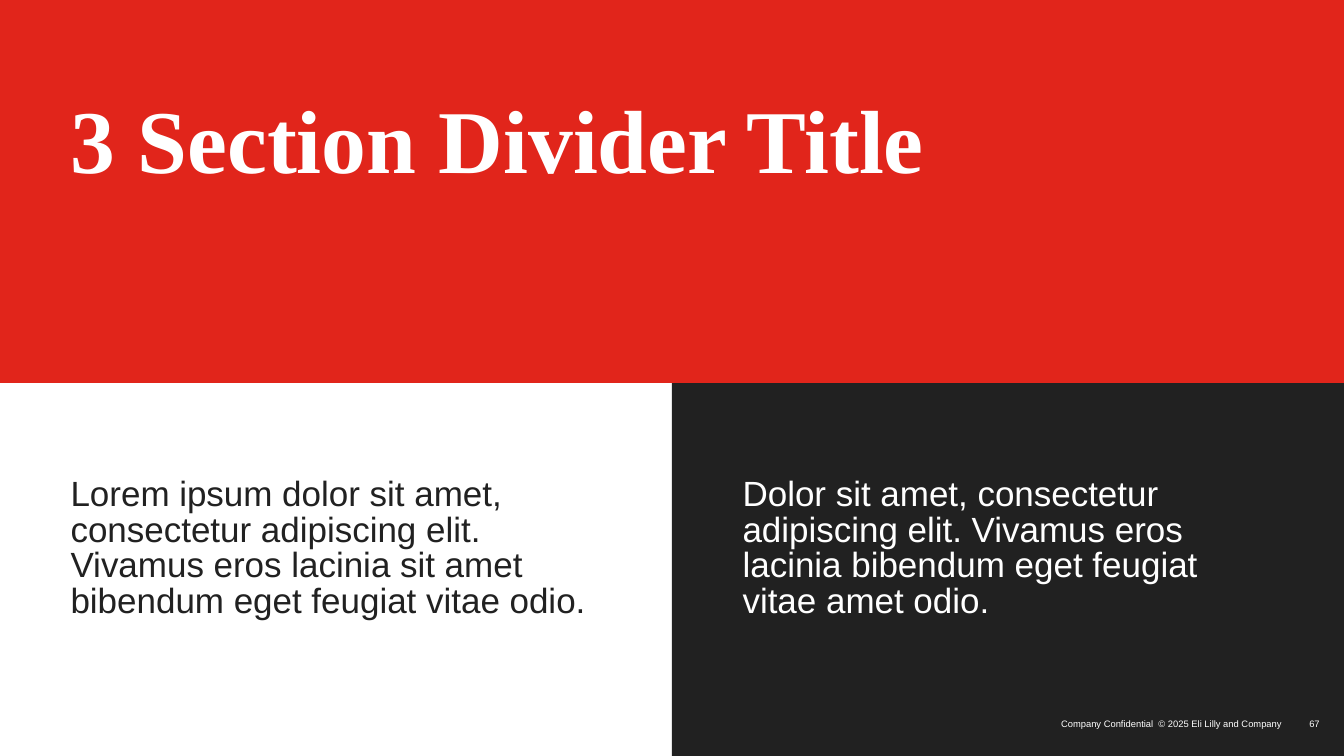
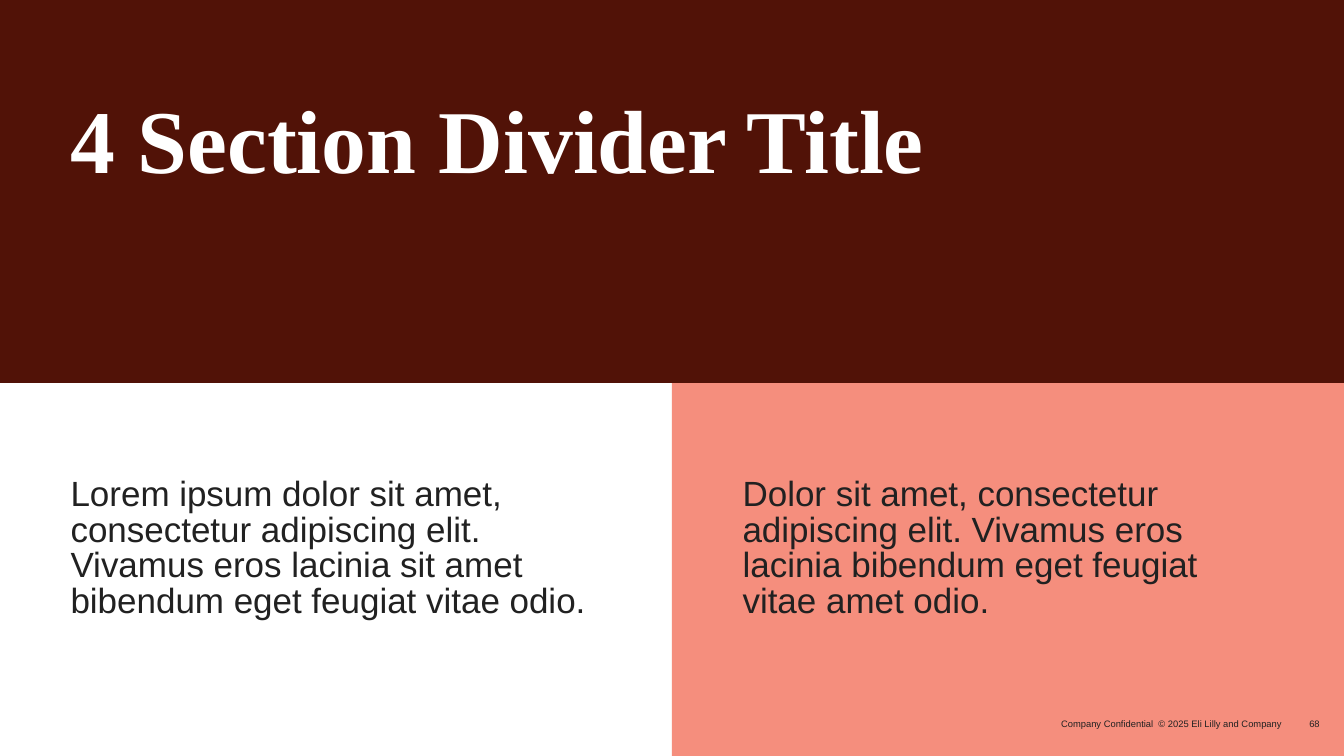
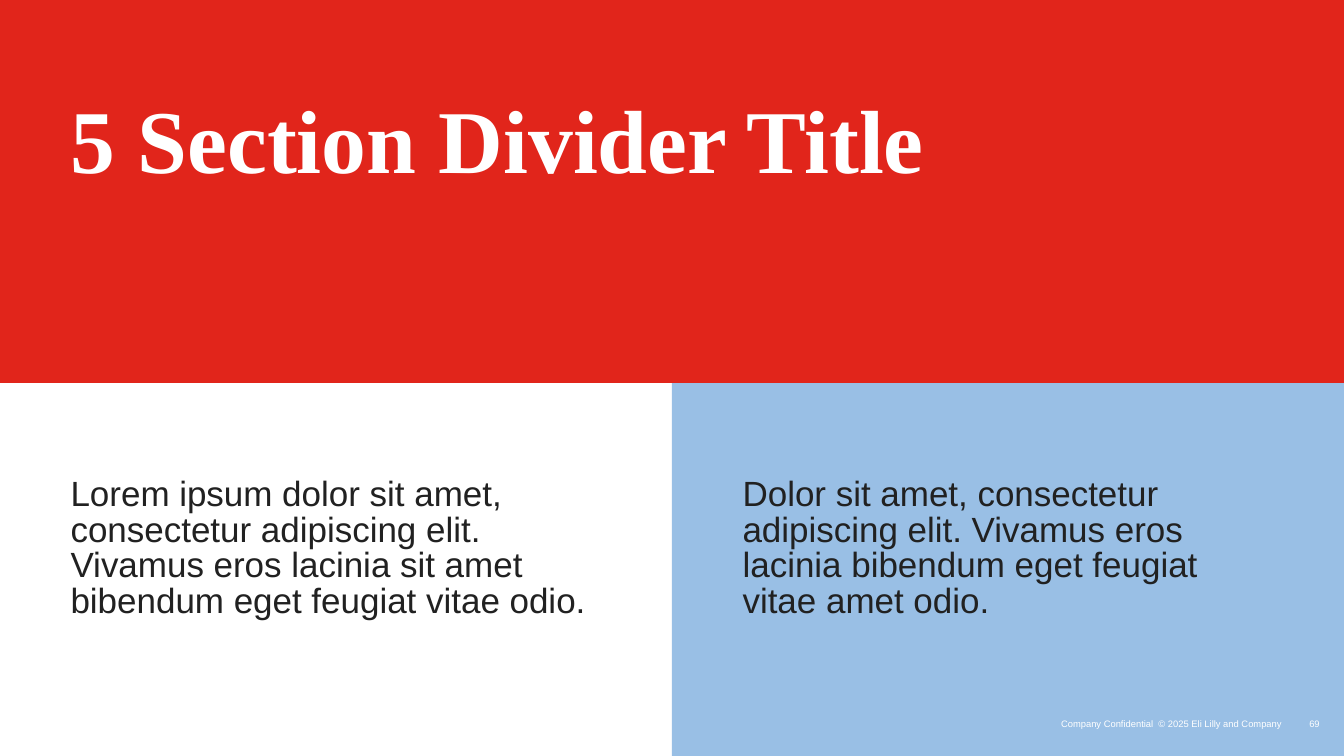
from pptx import Presentation
from pptx.dml.color import RGBColor
from pptx.enum.shapes import MSO_SHAPE
from pptx.enum.text import MSO_ANCHOR, MSO_AUTO_SIZE, PP_ALIGN
from pptx.util import Inches, Pt

RED = RGBColor(0xE1, 0x25, 0x1B)
MAROON = RGBColor(0x51, 0x12, 0x07)
CORAL = RGBColor(0xF5, 0x8E, 0x7D)
BLUE = RGBColor(0x99, 0xBF, 0xE5)
INK = RGBColor(0x21, 0x21, 0x21)
WHITE = RGBColor(0xFF, 0xFF, 0xFF)

WIDTH, HEIGHT, BAND = 13.33, 7.5, 3.8
HALF = WIDTH / 2
FIRST_NUMBER = 67
FOOTER = "Company Confidential  © 2025 Eli Lilly and Company"
LEFT_TEXT = ("Lorem ipsum dolor sit amet, consectetur adipiscing elit. "
             "Vivamus eros lacinia sit amet bibendum eget feugiat vitae odio.")
RIGHT_TEXT = ("Dolor sit amet, consectetur adipiscing elit. Vivamus eros\v"
              "lacinia bibendum eget feugiat\vvitae amet odio.")
DIVIDERS = [
    ("3 Section Divider Title", RED, INK, WHITE, WHITE),
    ("4 Section Divider Title", MAROON, CORAL, INK, INK),
    ("5 Section Divider Title", RED, BLUE, INK, WHITE),
]


def write(sp, text, size, color, font="Arial", bold=False, align=PP_ALIGN.LEFT,
          anchor=MSO_ANCHOR.MIDDLE, spacing=1.0, insets=(0, 0, 0, 0)):
    """Put formatted text into a shape."""
    tf = sp.text_frame
    tf.word_wrap = True
    tf.auto_size = MSO_AUTO_SIZE.NONE
    tf.vertical_anchor = anchor
    tf.margin_left, tf.margin_top, tf.margin_right, tf.margin_bottom = map(Inches, insets)
    p = tf.paragraphs[0]
    p.text = text
    p.alignment = align
    p.line_spacing = spacing
    p.space_before = Pt(0)
    for r in p.runs:
        r.font.name, r.font.size, r.font.bold = font, Pt(size), bold
        r.font.color.rgb = color


class Deck:
    """Section dividers: a title band above two text panels."""

    def __init__(self):
        self.prs = Presentation()
        self.prs.slide_width, self.prs.slide_height = Inches(WIDTH), Inches(HEIGHT)
        self.s = None

    def add_slide(self):
        self.s = self.prs.slides.add_slide(self.prs.slide_layouts[5])

    def title(self, text, fill):
        sp = self.s.shapes.title
        sp.left, sp.top, sp.width, sp.height = map(Inches, (0, 0, WIDTH, BAND))
        sp.fill.solid()
        sp.fill.fore_color.rgb = fill
        write(sp, text, 64, WHITE, font="Times New Roman", bold=True,
              anchor=MSO_ANCHOR.TOP, spacing=Pt(72), insets=(0.7, 0.9, 0.7, 0.6))

    def panel(self, column, text, fill, color):
        sp = self.s.shapes.add_shape(MSO_SHAPE.RECTANGLE, Inches(column * HALF),
                                     Inches(BAND), Inches(HALF), Inches(HEIGHT - BAND))
        sp.shadow.inherit = False
        sp.fill.solid()
        sp.fill.fore_color.rgb = fill
        sp.line.fill.background()
        write(sp, text, 25, color, spacing=0.85, insets=(0.7, 0.25, 0.5, 0.65))

    def footer(self, number, color):
        for left, width, text in ((10.05, 2.67, FOOTER), (12.76, 0.33, str(number))):
            sp = self.s.shapes.add_textbox(Inches(left), Inches(7.12),
                                           Inches(width), Inches(0.13))
            write(sp, text, 6.7, color, align=PP_ALIGN.RIGHT)


def main():
    deck = Deck()
    for number, (title, band, fill, color, footer) in enumerate(DIVIDERS, FIRST_NUMBER):
        deck.add_slide()
        deck.title(title, band)
        deck.panel(0, LEFT_TEXT, WHITE, INK)
        deck.panel(1, RIGHT_TEXT, fill, color)
        deck.footer(number, footer)
    deck.prs.save("out.pptx")


if __name__ == "__main__":
    main()
